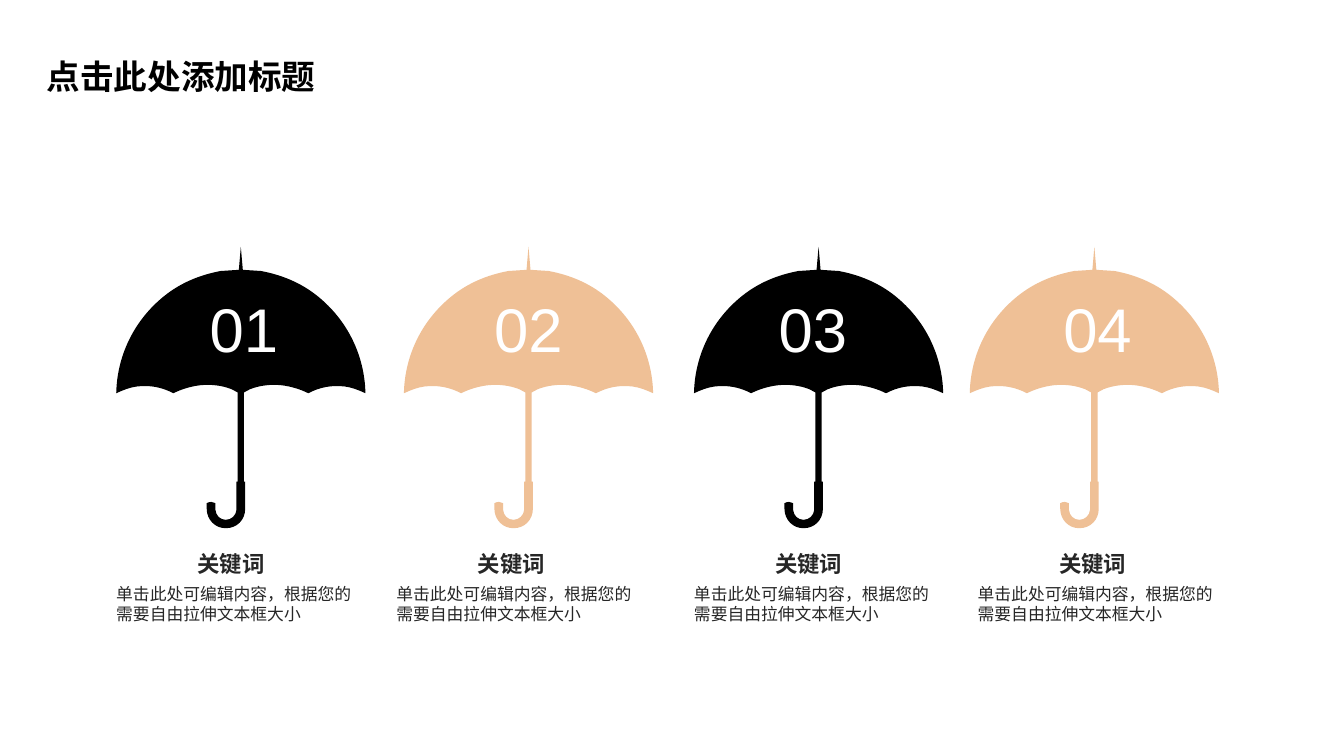
from lxml.etree import SubElement
from pptx import Presentation
from pptx.dml.color import RGBColor
from pptx.enum.text import MSO_AUTO_SIZE, PP_ALIGN
from pptx.oxml.ns import qn
from pptx.util import Cm, Pt

COLORS = {"black": "000000", "peach": "EFC096", "white": "FFFFFF", "text": "262626"}
CHINESE_FONT = "Noto Sans CJK SC"

# Outline steps in cm from the umbrella's tip: one point is a line, three are a curve.
CANOPY_RIGHT = [
    [(0.05, 0.58)],
    [(0.51, 0.61)],
    [(1.04, 0.71), (1.52, 0.91), (1.93, 1.24)],
    [(2.69, 1.85), (3.12, 2.74), (3.14, 3.69)],
    [(2.97, 3.61), (2.79, 3.54), (2.62, 3.52)],
    [(2.29, 3.48), (1.98, 3.54), (1.7, 3.69)],
    [(1.5, 3.59), (1.27, 3.52), (1.04, 3.49)],
    [(0.76, 3.46), (0.48, 3.49), (0.23, 3.59)],
    [(0.08, 3.67)],
]
HANDLE = [
    [(0.08, 5.92)],
    [(0.11, 5.92)],
    [(0.11, 6.6)],
    [(0.11, 6.88), (-0.1, 7.09), (-0.37, 7.09)],
    [(-0.64, 7.1), (-0.86, 6.88), (-0.86, 6.6)],
    [(-0.86, 6.46)],
    [(-0.82, 6.43), (-0.77, 6.43), (-0.74, 6.43)],
    [(-0.7, 6.43), (-0.67, 6.44), (-0.64, 6.46)],
    [(-0.64, 6.63)],
    [(-0.63, 6.77), (-0.52, 6.88), (-0.38, 6.88)],
    [(-0.24, 6.88), (-0.12, 6.77), (-0.11, 6.63)],
    [(-0.11, 5.92)],
    [(-0.08, 5.92)],
]


def add_umbrella(center, top, color):
    builder = page.shapes.build_freeform(Cm(center), Cm(top))
    builder.add_line_segments(
        [(Cm(center + x), Cm(top + y)) for step in outline for x, y in step], close=True)
    umbrella = builder.convert_to_shape()
    umbrella.shadow.inherit = False
    umbrella.fill.solid()
    umbrella.fill.fore_color.rgb = RGBColor.from_string(COLORS[color])
    umbrella.line.fill.background()
    # Join the three segments of each curved step into one Bezier curve.
    segments = iter(list(umbrella._element.iter(qn("a:lnTo"))))
    for step in outline:
        first, *others = [next(segments) for _ in step]
        if others:
            first.tag = qn("a:cubicBezTo")
        for segment in others:
            first.append(segment[0])
            segment.getparent().remove(segment)


def add_text(left, top, width, height, text, size, color,
             font="Arial", bold=False, align=PP_ALIGN.LEFT, inset=True):
    box = page.shapes.add_textbox(Cm(left), Cm(top), Cm(width), Cm(height))
    frame = box.text_frame
    frame.word_wrap = True
    frame.auto_size = MSO_AUTO_SIZE.SHAPE_TO_FIT_TEXT
    if not inset:
        frame.margin_left = frame.margin_right = 0
        frame.margin_top = frame.margin_bottom = 0
    para = frame.paragraphs[0]
    para.text = text
    para.alignment = align
    para.font.name = font
    para.font.size = Pt(size)
    para.font.bold = bold
    para.font.color.rgb = RGBColor.from_string(COLORS[color])
    defaults = para._p.pPr.find(qn("a:defRPr"))
    SubElement(defaults, qn("a:ea")).set("typeface", CHINESE_FONT)


deck = Presentation()
deck.slide_width, deck.slide_height = Cm(33.87), Cm(19.05)
page = deck.slides.add_slide(deck.slide_layouts[6])

add_text(0.93, 1.28, 7.65, 1.28, "点击此处添加标题", 24, "black",
         font=CHINESE_FONT, bold=True)

# The left half mirrors the right half, walked backwards.
backwards = [(-x, y) for step in reversed(CANOPY_RIGHT) for x, y in reversed(step)]
outline = CANOPY_RIGHT + HANDLE + [[backwards.pop(0)]]
for step in reversed(CANOPY_RIGHT[1:]):
    outline.append([backwards.pop(0) for _ in step])

umbrellas = [  # centre of the umbrella, left edge of its caption, colour
    (6.07, 2.93, "black"),
    (13.32, 9.99, "peach"),
    (20.63, 17.49, "black"),
    (27.58, 24.64, "peach"),
]
for index, (center, caption_left, color) in enumerate(umbrellas):
    add_umbrella(center, 6.22, color)
    add_text(4.5 + 7.17 * index, 7.21, 3.3, 2.13, f"{index + 1:02}", 44, "white",
             align=PP_ALIGN.CENTER)
    add_text(caption_left + 2.05, 13.87, 2.24, 0.69, "关键词", 16, "text",
             bold=True, inset=False)
    add_text(caption_left, 14.71, 6.27, 1.02,
             "单击此处可编辑内容，根据您的需要自由拉伸文本框大小", 12, "text", inset=False)

deck.save("out.pptx")
